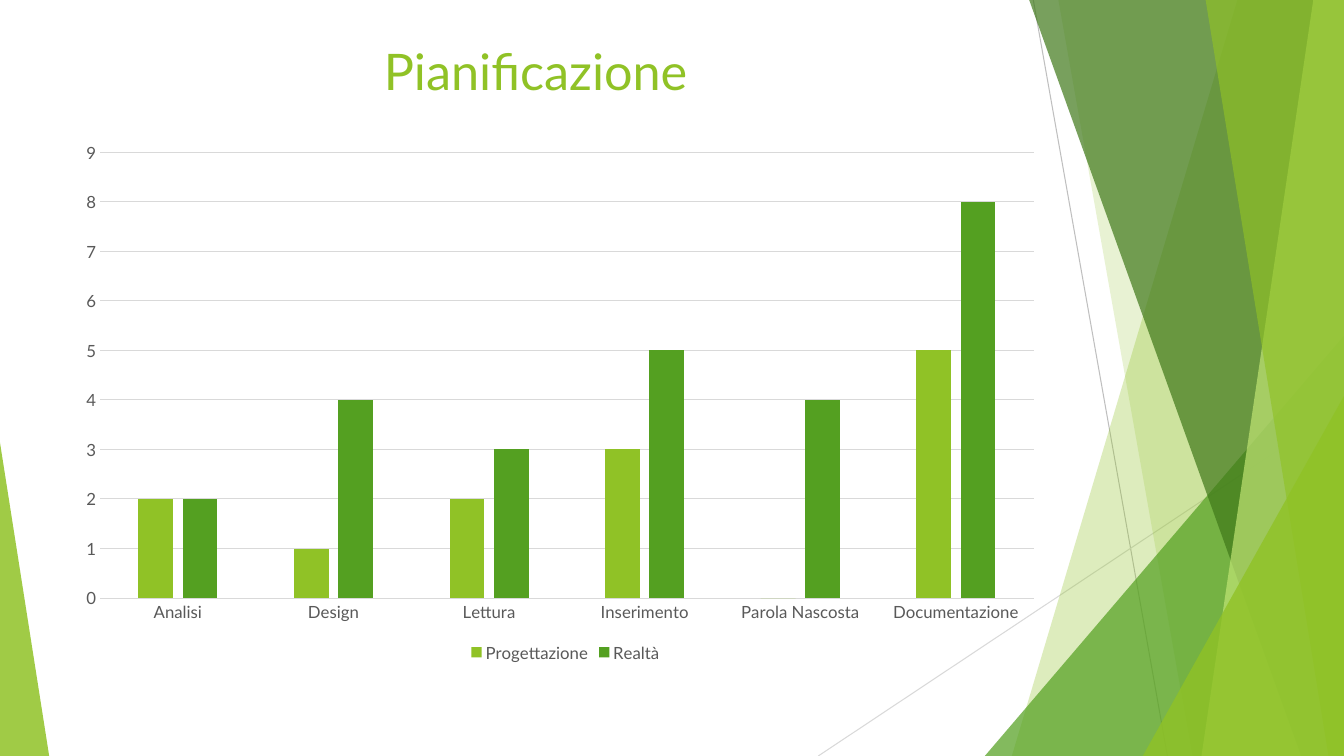
from lxml import etree
from pptx import Presentation
from pptx.chart.data import CategoryChartData
from pptx.dml.color import RGBColor
from pptx.enum.chart import XL_CHART_TYPE, XL_LEGEND_POSITION, XL_TICK_MARK
from pptx.enum.shapes import MSO_CONNECTOR, MSO_SHAPE
from pptx.enum.text import MSO_ANCHOR, PP_ALIGN
from pptx.oxml import parse_xml
from pptx.oxml.ns import nsdecls, qn
from pptx.util import Cm, Pt

LIME = RGBColor(0x90, 0xC2, 0x26)
GREEN = RGBColor(0x54, 0xA0, 0x21)
FOREST = RGBColor(0x3F, 0x78, 0x19)
PALE = RGBColor(0xC0, 0xE4, 0x74)
GREY = RGBColor(0xBF, 0xBF, 0xBF)
LIGHT_GREY = RGBColor(0xD9, 0xD9, 0xD9)
TEXT_GREY = RGBColor(0x59, 0x59, 0x59)
FONT = "Lato"
WIDTH, HEIGHT, BAND_TOP = 33.87, 19.05, -0.02

TITLE = "Pianificazione"
CATEGORIES = ["Analisi", "Design", "Lettura", "Inserimento", "Parola Nascosta", "Documentazione"]
SERIES = [
    ("Progettazione", [2, 1, 2, 3, 0, 5], LIME),
    ("Realtà", [2, 4, 3, 5, 4, 8], GREEN),
]
PLOT_LAYOUT = {"x": 0.026, "y": 0.034, "w": 0.951, "h": 0.838}

LINES = [
    (26.04, 0, 29.42, HEIGHT, GREY),
    (WIDTH, 10.24, 20.62, HEIGHT, LIGHT_GREY),
]
# kind, geometry, colour, opacity
DECOR = [
    ("band", (31.19, 25.5), LIME, 30),
    ("band", (26.67, 30.05), LIME, 20),
    ("triangle", (24.82, 8.46, WIDTH, 1), GREEN, 72),
    ("band", (25.93, 32.79), FOREST, 70),
    ("band", (33.1, 30.28), PALE, 70),
    ("band", (30.38, 33.48), LIME, 65),
    ("triangle", (28.8, 9.98, WIDTH, 1), LIME, 80),
    ("triangle", (0, 11.15, 1.24, 0), LIME, 85),
]


def add_line(s, x1, y1, x2, y2, color):
    line = s.shapes.add_connector(MSO_CONNECTOR.STRAIGHT, Cm(x1), Cm(y1), Cm(x2), Cm(y2))
    line.line.color.rgb = color
    line.line.width = Pt(0.75)
    etree.SubElement(line._element.spPr, qn("a:effectLst"))


def add_band(s, top_x, bottom_x):
    builder = s.shapes.build_freeform(Cm(top_x), Cm(BAND_TOP))
    corners = [(WIDTH, BAND_TOP), (WIDTH, HEIGHT), (bottom_x, HEIGHT)]
    builder.add_line_segments([(Cm(x), Cm(y)) for x, y in corners], close=True)
    return builder.convert_to_shape()


def add_triangle(s, left, top, right, apex):
    sp = s.shapes.add_shape(MSO_SHAPE.ISOSCELES_TRIANGLE, Cm(left), Cm(top),
                            Cm(right - left), Cm(HEIGHT - top))
    sp.adjustments[0] = apex
    return sp


def paint(sp, color, opacity):
    sp.shadow.inherit = False
    sp.line.fill.background()
    sp.fill.solid()
    sp.fill.fore_color.rgb = color
    clr = sp._element.spPr.find(qn("a:solidFill"))[0]
    etree.SubElement(clr, qn("a:alpha")).set("val", str(opacity * 1000))


def style_font(font, size, color):
    font.name = FONT
    font.size = Pt(size)
    font.color.rgb = color


def add_title(s):
    sp = s.shapes.title
    sp.left, sp.top, sp.width, sp.height = Cm(9.42), Cm(0.89), Cm(9.65), Cm(2.03)
    tf = sp.text_frame
    tf.vertical_anchor = MSO_ANCHOR.TOP
    p = tf.paragraphs[0]
    p.alignment = PP_ALIGN.LEFT
    r = p.add_run()
    r.text = TITLE
    style_font(r.font, 36, LIME)


def add_planning_chart(s):
    data = CategoryChartData()
    data.categories = CATEGORIES
    for name, values, _ in SERIES:
        data.add_series(name, values)
    chart = s.shapes.add_chart(XL_CHART_TYPE.COLUMN_CLUSTERED, Cm(1.88), Cm(3.38),
                               Cm(24.74), Cm(13.41), data).chart
    style_font(chart.font, 12, TEXT_GREY)
    chart.has_title = False
    chart.has_legend = True
    chart.legend.position = XL_LEGEND_POSITION.BOTTOM
    chart.legend.include_in_layout = False
    style_font(chart.legend.font, 12, TEXT_GREY)

    plot = chart.plots[0]
    plot.gap_width, plot.overlap = 219, -27
    plot.vary_by_categories = False
    for series, (_, _, color) in zip(plot.series, SERIES):
        series.format.fill.solid()
        series.format.fill.fore_color.rgb = color

    cat_axis, val_axis = chart.category_axis, chart.value_axis
    for axis in (cat_axis, val_axis):
        axis.major_tick_mark = axis.minor_tick_mark = XL_TICK_MARK.NONE
        style_font(axis.tick_labels.font, 12, TEXT_GREY)
    val_axis.minimum_scale, val_axis.maximum_scale, val_axis.major_unit = 0, 9, 1
    val_axis.format.line.fill.background()
    val_axis.has_major_gridlines = True
    for line in (cat_axis.format.line, val_axis.major_gridlines.format.line):
        line.color.rgb = LIGHT_GREY
        line.width = Pt(0.75)

    parts = '<c:layoutTarget val="inner"/><c:xMode val="edge"/><c:yMode val="edge"/>'
    parts += "".join(f'<c:{key} val="{value}"/>' for key, value in PLOT_LAYOUT.items())
    layout = parse_xml(f'<c:layout {nsdecls("c")}><c:manualLayout>{parts}</c:manualLayout></c:layout>')
    area = chart._chartSpace.chart.plotArea
    for old in area.findall(qn("c:layout")):
        area.remove(old)
    area.insert(0, layout)


def main():
    prs = Presentation()
    prs.slide_width, prs.slide_height = Cm(WIDTH), Cm(HEIGHT)
    s = prs.slides.add_slide(prs.slide_layouts[5])
    for line in LINES:
        add_line(s, *line)
    builders = {"band": add_band, "triangle": add_triangle}
    for kind, geometry, color, opacity in DECOR:
        paint(builders[kind](s, *geometry), color, opacity)
    add_title(s)
    add_planning_chart(s)
    prs.save("out.pptx")


if __name__ == "__main__":
    main()
